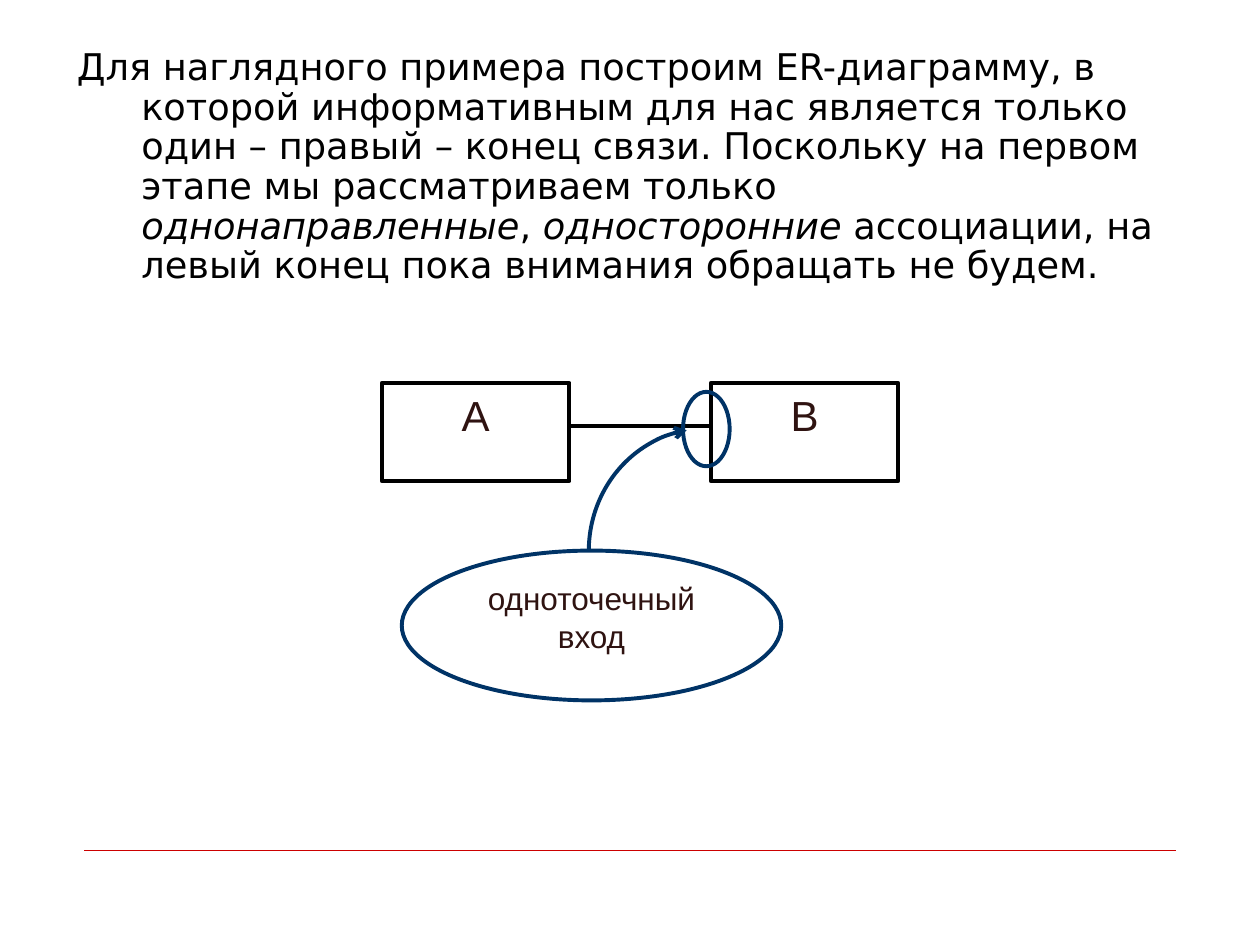
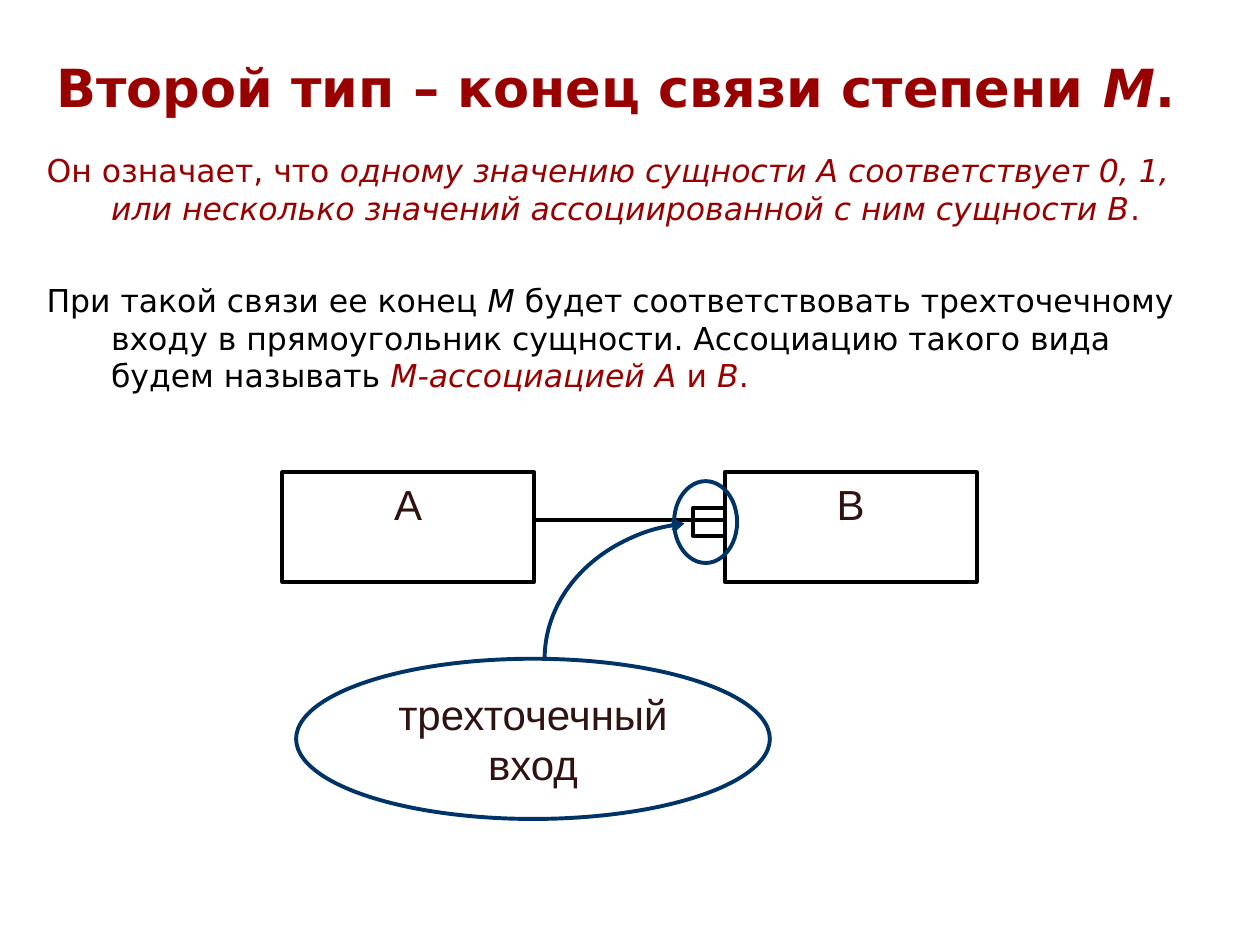
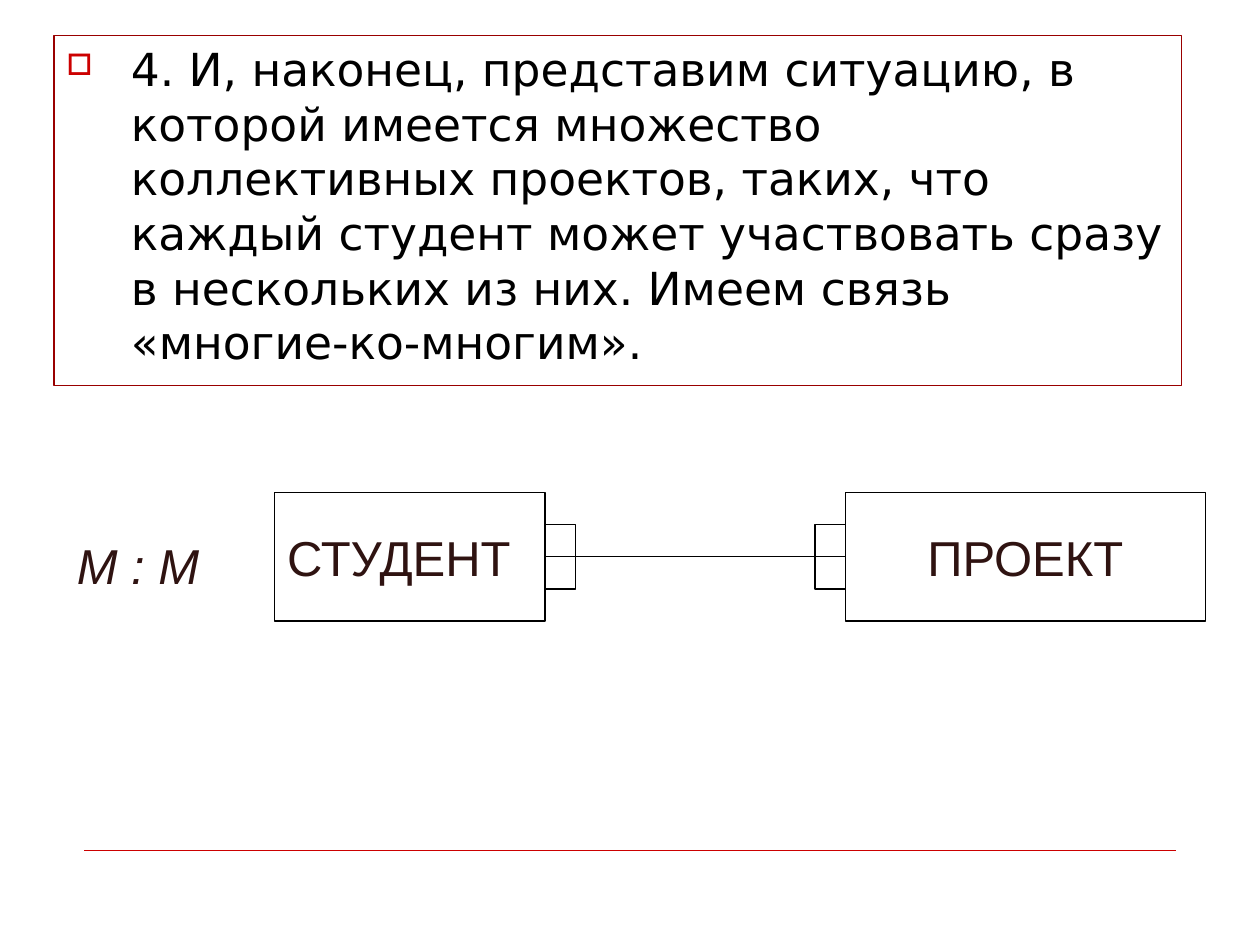
from lxml.etree import SubElement
from pptx import Presentation
from pptx.dml.color import RGBColor
from pptx.enum.shapes import MSO_CONNECTOR as Connector, MSO_SHAPE as Preset
from pptx.enum.text import MSO_ANCHOR as Anchor, PP_ALIGN as Align
from pptx.oxml.ns import qn
from pptx.util import Cm, Pt

BLACK, WHITE, BLUE = "000000", "FFFFFF", "003366"
MAROON, RED, BROWN = "990000", "CC0000", "2F1311"
HEADING_FONT, LABEL_FONT = "DejaVu Sans", "Arial"
THICK, THIN, HAIRLINE = 2.25, 0.75, 0.25
HANGING = 1.3
FOOTER_LEFT, FOOTER_RIGHT, FOOTER_Y = 1.7, 23.7, 17.15

ITALIC = {"italic": True}
MAROON_TEXT = {"color": MAROON}
MAROON_ITALIC = {"color": MAROON, "italic": True}

single_end_text = [[
    ("Для наглядного примера построим ER-диаграмму, в которой информативным для нас "
     "является только один – правый – конец связи. Поскольку на первом этапе мы "
     "рассматриваем только ", {}),
    ("однонаправленные", ITALIC),
    (", ", {}),
    ("односторонние", ITALIC),
    (" ассоциации, на левый конец пока внимания обращать не будем.", {}),
]]
many_end_title = [[("Второй тип – конец связи степени ", {}), ("М", ITALIC), (".", {})]]
many_end_text = [
    [
        ("Он означает, что ", MAROON_TEXT),
        ("одному значению сущности А соответствует 0, 1, или несколько значений "
         "ассоциированной с ним сущности В", MAROON_ITALIC),
        (".", MAROON_TEXT),
    ],
    [
        ("При такой связи ее конец ", {}),
        ("М", ITALIC),
        (" будет соответствовать трехточечному входу в прямоугольник сущности. "
         "Ассоциацию такого вида будем называть ", {}),
        ("М-ассоциацией А ", MAROON_ITALIC),
        ("и ", MAROON_TEXT),
        ("В", MAROON_ITALIC),
        (".", MAROON_TEXT),
    ],
]
many_to_many_text = [[
    ("4. И, наконец, представим ситуацию, в которой имеется множество коллективных "
     "проектов, таких, что каждый студент может участвовать сразу в нескольких из них. "
     "Имеем связь «многие-ко-многим».", {}),
]]

single_end_diagram = {
    "entities": {"А": 7.7, "В": 14.33}, "top": 7.72, "size": (3.78, 1.98), "link_y": 8.59,
    "port": None, "arc": (11.87, 8.64, 4.72, 4.94), "ring": (13.77, 7.9, 0.94, 1.5),
    "callout": ("одноточечный вход", 18, (8.1, 11.1, 7.65, 3.02)),
}
many_end_diagram = {
    "entities": {"А": 5.69, "В": 14.61}, "top": 9.52, "size": (5.08, 2.21), "link_y": 10.49,
    "port": (13.97, 10.24, 0.64, 0.56), "arc": (10.98, 10.53, 6.5, 5.5),
    "ring": (13.59, 9.7, 1.27, 1.65),
    "callout": ("трехточечный вход", 24, (5.97, 13.28, 9.55, 3.23)),
}


def rgb(value):
    return RGBColor.from_string(value)


def add_outlined(slide, preset, place, line=None, width=THICK, fill=None):
    shape = slide.shapes.add_shape(preset, *map(Cm, place))
    shape.shadow.inherit = False
    if fill:
        shape.fill.solid()
        shape.fill.fore_color.rgb = rgb(fill)
    else:
        shape.fill.background()
    if line:
        shape.line.color.rgb = rgb(line)
        shape.line.width = Pt(width)
    else:
        shape.line.fill.background()
    return shape


def add_line(slide, start, end, color, width):
    line = slide.shapes.add_connector(Connector.STRAIGHT, *map(Cm, (*start, *end)))
    line.line.color.rgb = rgb(color)
    line.line.width = Pt(width)
    SubElement(line._element.spPr, qn("a:effectLst"))


def write(shape, paragraphs, font, anchor=Anchor.TOP, gap=0, hanging=0, **layout):
    frame = shape.text_frame
    frame.word_wrap = True
    frame.vertical_anchor = anchor
    for index, runs in enumerate(paragraphs):
        paragraph = frame.add_paragraph() if index else frame.paragraphs[0]
        for name, value in {"alignment": Align.LEFT, **layout}.items():
            setattr(paragraph, name, value)
        if index:
            paragraph.space_before = Pt(gap)
        if hanging:
            properties = paragraph._p.get_or_add_pPr()
            properties.set("marL", str(Cm(hanging)))
            properties.set("indent", str(-Cm(hanging)))
        for text, changes in runs:
            run = paragraph.add_run()
            run.text = text
            values = {**font, **changes}
            run.font.color.rgb = rgb(values.pop("color"))
            for name, value in values.items():
                setattr(run.font, name, value)


def heading_font(size, color=BLACK, **more):
    return {"name": HEADING_FONT, "size": Pt(size), "color": color, **more}


def label_font(size, **more):
    return {"name": LABEL_FONT, "size": Pt(size), "color": BROWN, **more}


def add_body(slide, place, paragraphs, size, line=None, **layout):
    body = add_outlined(slide, Preset.RECTANGLE, place, line, THIN, WHITE)
    write(body, paragraphs, heading_font(size), hanging=HANGING, **layout)
    return body


def add_bullet(paragraph):
    properties = paragraph._p.get_or_add_pPr()
    color = SubElement(properties, qn("a:buClr"))
    SubElement(color, qn("a:srgbClr"), val=RED)
    SubElement(properties, qn("a:buSzPct"), val="65000")
    SubElement(properties, qn("a:buChar"), char="□")


def add_footer(slide):
    add_line(slide, (FOOTER_LEFT, FOOTER_Y), (FOOTER_RIGHT, FOOTER_Y), RED, HAIRLINE)


def add_arc_arrow(slide, place):
    arc = add_outlined(slide, Preset.ARC, place, BLUE)
    for index, degrees in enumerate((180, 261)):
        arc.adjustments[index] = degrees * 0.6
    SubElement(arc.line._get_or_add_ln(), qn("a:tailEnd"), type="arrow")


def add_entity_diagram(slide, diagram):
    width, height = diagram["size"]
    for name, left in diagram["entities"].items():
        entity = add_outlined(slide, Preset.RECTANGLE, (left, diagram["top"], width, height),
                              BLACK, fill=WHITE)
        write(entity, [[(name, {})]], label_font(24), alignment=Align.CENTER)
    left_entity, right_entity = diagram["entities"].values()
    add_line(slide, (left_entity + width, diagram["link_y"]),
             (right_entity, diagram["link_y"]), BLACK, THICK)
    if diagram["port"]:
        add_outlined(slide, Preset.RECTANGLE, diagram["port"], BLACK)
    add_arc_arrow(slide, diagram["arc"])
    text, size, place = diagram["callout"]
    callout = add_outlined(slide, Preset.OVAL, place, BLUE, fill=WHITE)
    write(callout, [[(text, {})]], label_font(size), alignment=Align.CENTER)
    add_outlined(slide, Preset.OVAL, diagram["ring"], BLUE)


def build_single_end(slide):
    add_footer(slide)
    add_body(slide, (1.3, 0.86, 22.6, 5.46), single_end_text, 21, line_spacing=0.9)
    add_entity_diagram(slide, single_end_diagram)


def build_many_end(slide):
    title = slide.shapes.add_textbox(*map(Cm, (0.89, 0.71, 23.8, 1.8)))
    write(title, many_end_title, heading_font(30, MAROON, bold=True), Anchor.BOTTOM)
    add_body(slide, (0.69, 2.92, 24, 14.4), many_end_text, 18, gap=31)
    add_entity_diagram(slide, many_end_diagram)


def build_many_to_many(slide):
    add_footer(slide)
    body = add_body(slide, (1.09, 0.71, 22.73, 7.06), many_to_many_text, 26, MAROON)
    add_bullet(body.text_frame.paragraphs[0])
    degree = slide.shapes.add_textbox(*map(Cm, (1.3, 10.34, 3.63, 2.08)))
    write(degree, [[("М : М", {})]], label_font(28, italic=True), Anchor.MIDDLE)

    top, height, port_width, port_height = 9.93, 2.59, 0.61, 1.3
    student_left, student_width, project_left, project_width = 5.54, 5.45, 17.04, 7.26
    student_right, middle = student_left + student_width, top + height / 2
    for left in (project_left - port_width, student_right):
        add_outlined(slide, Preset.RECTANGLE,
                     (left, middle - port_height / 2, port_width, port_height), BLACK, THIN)
    for name, left, width, alignment in (
        ("СТУДЕНТ", student_left, student_width, Align.LEFT),
        ("ПРОЕКТ", project_left, project_width, Align.CENTER),
    ):
        entity = add_outlined(slide, Preset.RECTANGLE, (left, top, width, height),
                              BLACK, THIN, WHITE)
        write(entity, [[(name, {})]], label_font(28), Anchor.MIDDLE, alignment=alignment)
    add_line(slide, (student_right, middle), (project_left, middle), BLACK, THIN)


def main():
    presentation = Presentation()
    presentation.slide_width, presentation.slide_height = Cm(25.4), Cm(19.05)
    for build in (build_single_end, build_many_end, build_many_to_many):
        build(presentation.slides.add_slide(presentation.slide_layouts[6]))
    presentation.save("out.pptx")


if __name__ == "__main__":
    main()
